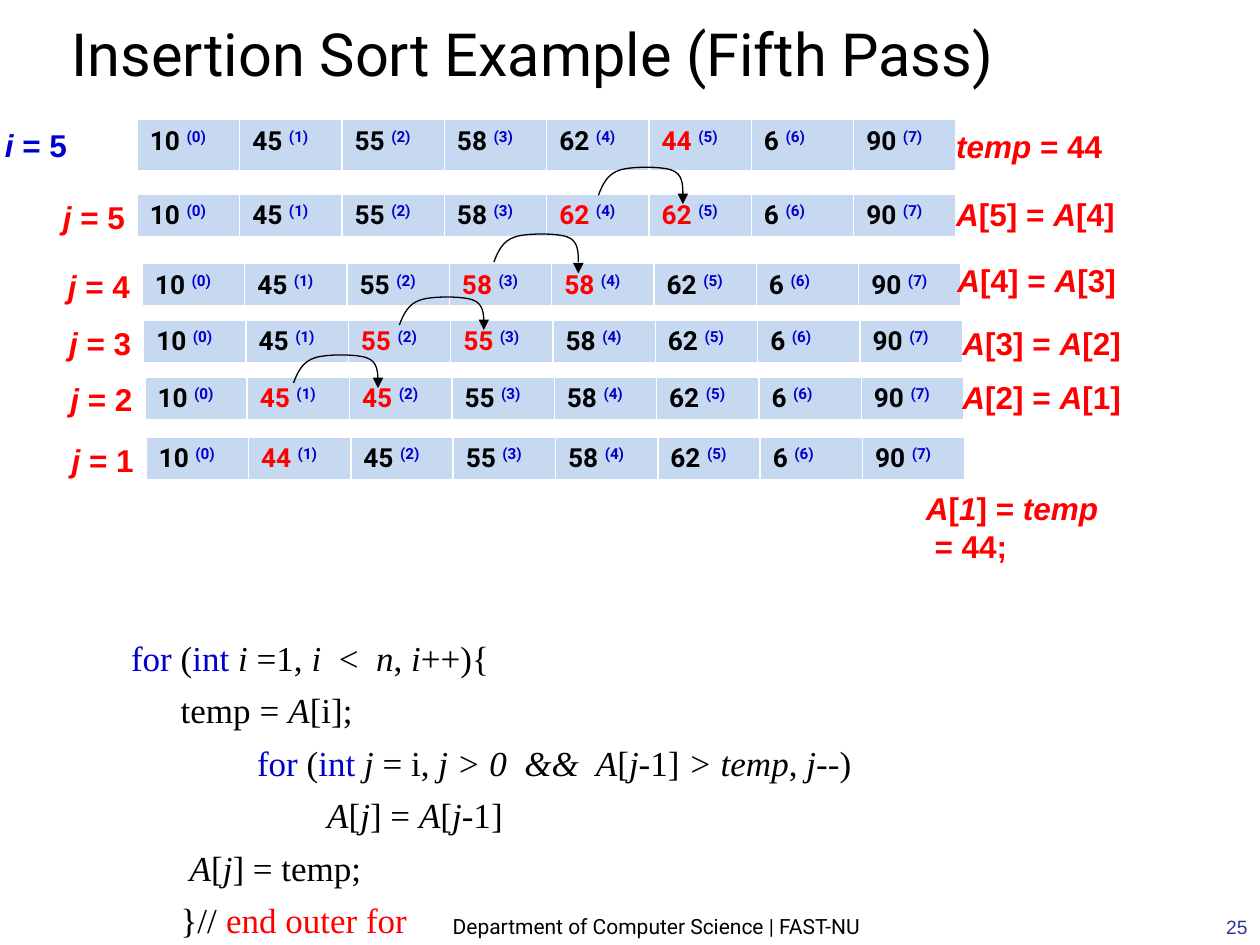
"""Builds the slide on the fifth pass of an insertion sort."""
from lxml import etree
from pptx import Presentation
from pptx.dml.color import RGBColor
from pptx.enum.shapes import MSO_CONNECTOR
from pptx.enum.text import MSO_ANCHOR, MSO_AUTO_SIZE, PP_ALIGN
from pptx.oxml.ns import qn
from pptx.util import Pt

PX = 9144
STRAIGHT = MSO_CONNECTOR.STRAIGHT
TOP, BOTTOM = MSO_ANCHOR.TOP, MSO_ANCHOR.BOTTOM
LEFT, CENTER, RIGHT = PP_ALIGN.LEFT, PP_ALIGN.CENTER, PP_ALIGN.RIGHT
FIT_SHAPE, NO_FIT = MSO_AUTO_SIZE.SHAPE_TO_FIT_TEXT, MSO_AUTO_SIZE.NONE

BLACK, BLUE, RED, WHITE = "000000", "0000CC", "FF0000", "FFFFFF"
CELL_FILL, NUMBER_COLOUR = "C6D9F1", "333399"

TITLE = "Insertion Sort Example (Fifth Pass)"
FOOTER = "Department of Computer Science | FAST-NU"
PAGE_NUMBER = "25"

PASSES = [
    {"at": (109, 95), "height": 42, "values": [10, 45, 55, 58, 62, 44, 6, 90], "red": [5]},
    {"at": (109, 154), "height": 35, "values": [10, 45, 55, 58, 62, 62, 6, 90], "red": [4, 5]},
    {"at": (113, 209), "height": 35, "values": [10, 45, 55, 58, 58, 62, 6, 90], "red": [3, 4]},
    {"at": (114, 254), "height": 35, "values": [10, 45, 55, 55, 58, 62, 6, 90], "red": [2, 3]},
    {"at": (115, 299), "height": 35, "values": [10, 45, 45, 55, 58, 62, 6, 90], "red": [1, 2]},
    {"at": (116, 347), "height": 35, "values": [10, 44, 45, 55, 58, 62, 6, 90], "red": [1]},
]
OUTER_INDEX = ("*i* = 5", (-6, 95, 69, 40))
INNER_INDEXES = ["*j* = 5", "*j* = 4", "*j* = 3", "*j* = 2", "*j* = 1"]
STEPS = [
    (["*temp* = 44"], (749, 96, 136, 40)),
    (["*A*[5] = *A*[4]"], (749, 150, 146, 40)),
    (["*A*[4] = *A*[3]"], (750, 202, 146, 40)),
    (["*A*[3] = *A*[2]"], (754, 252, 146, 40)),
    (["*A*[2] = *A*[1]"], (754, 295, 146, 40)),
    (["*A*[*1*] = *temp*", " = 44;"], (725, 383, 157, 70)),
]
MOVES = [(475, 132, 154), (392, 185, 209), (317, 235, 254), (233, 281, 300)]
ARC = [(0, 23), (3, 15), (7, 6), (17, 3), (26, 0), (50, 0), (58, 3), (67, 6), (67, 15), (67, 23)]
CODE = [
    [(BLUE, "\tfor"), (BLACK, " ("), (BLUE, "int "), (BLACK, "*i *=1, *i  *<  *n*, *i*++){")],
    [(BLACK, "          temp = *A*[i];")],
    [(BLACK, "\t\t"), (BLUE, "for"), (BLACK, " ("), (BLUE, "int "),
     (BLACK, "*j *= i, *j > 0  &&  A*[*j*-1]* > temp*, *j*--)")],
    [(BLACK, "\t\t        *A*[*j*] = *A*[*j*-1]")],
    [(BLACK, "           *A*[*j*] = temp;")],
    [(BLACK, "          }// "), (RED, "end outer for")],
]


def rgb(value):
    """Turn a hex string into a colour."""
    return RGBColor.from_string(value)


def px(*lengths):
    """Turn px lengths into EMU."""
    return [length * PX for length in lengths]


def add_runs(paragraph, parts, size, font, bold=False):
    """Add one run for each stretch, with italics between asterisks."""
    runs = []
    for colour, marked in parts:
        for index, piece in enumerate(marked.split("*")):
            if piece:
                run = paragraph.add_run()
                run.text = piece
                run.font.size, run.font.name = Pt(size), font
                run.font.bold, run.font.italic = bold, index % 2 == 1
                run.font.color.rgb = rgb(colour)
                runs.append(run)
    return runs


def fill_text(box, lines, size, font, bold=False, align=LEFT, anchor=TOP, wrap=True):
    """Write lines of coloured parts into a box."""
    frame = box.text_frame
    frame.word_wrap, frame.vertical_anchor = wrap, anchor
    frame.auto_size = NO_FIT if wrap else FIT_SHAPE
    for index, parts in enumerate(lines):
        paragraph = frame.add_paragraph() if index else frame.paragraphs[0]
        paragraph.alignment = align
        add_runs(paragraph, parts, size, font, bold)
    return frame.paragraphs


def place(placeholder, *bounds):
    """Move a placeholder to px bounds."""
    placeholder.left, placeholder.top, placeholder.width, placeholder.height = px(*bounds)


def add_label(slide, lines, bounds, colour):
    """Add a bold label beside a pass."""
    box = slide.shapes.add_textbox(*px(*bounds))
    fill_text(box, [[(colour, line)] for line in lines], 18, "Arial", bold=True, wrap=False)


def add_border(cell, side, points):
    """Draw a white border on one side of a cell."""
    line = etree.SubElement(cell._tc.get_or_add_tcPr(), qn(f"a:ln{side}"), w=str(Pt(points)))
    etree.SubElement(etree.SubElement(line, qn("a:solidFill")), qn("a:srgbClr"), val=WHITE)


def add_pass(slide, at, height, values, red):
    """Add the array as a one-row table with superscript indexes."""
    table = slide.shapes.add_table(1, len(values), *px(*at, 650, height)).table
    table.first_row = table.horz_banding = False
    for index, value in enumerate(values):
        cell = table.cell(0, index)
        for side, points in (("L", 1), ("R", 1), ("T", 1), ("B", 3)):
            add_border(cell, side, points)
        cell.fill.solid()
        cell.fill.fore_color.rgb = rgb(CELL_FILL)
        parts = [(RED if index in red else BLACK, f"{value} "), (BLUE, f"({index})")]
        runs = add_runs(cell.text_frame.paragraphs[0], parts, 15, "Roboto", bold=True)
        runs[-1]._r.get_or_add_rPr().set("baseline", "30000")


def style_line(shape):
    """Give an arc or arrow a thin black line."""
    shape.line.color.rgb = rgb(BLACK)
    shape.line.width = Pt(0.75)


def add_move(slide, left, top, arrow_top):
    """Add a curved arc that ends in a short arrow."""
    points = [(left + x, top + y) for x, y in ARC]
    builder = slide.shapes.build_freeform(*points[0], scale=PX)
    builder.add_line_segments(points[1:], close=False)
    arc = builder.convert_to_shape()
    arc.shadow.inherit = False
    arc.fill.background()
    style_line(arc)
    outline = next(arc._element.iter(qn("a:path")))
    segments = outline.findall(qn("a:lnTo"))
    for start in range(0, len(segments), 3):
        curve = etree.SubElement(outline, qn("a:cubicBezTo"))
        for segment in segments[start:start + 3]:
            curve.append(segment[0])
            outline.remove(segment)

    end = left + ARC[-1][0]
    arrow = slide.shapes.add_connector(STRAIGHT, *px(end, arrow_top, end, arrow_top + 8))
    style_line(arrow)
    etree.SubElement(arrow.line._get_or_add_ln(), qn("a:tailEnd"), type="triangle")
    etree.SubElement(arrow._element.spPr, qn("a:effectLst"))


def main():
    """Build and save the slide."""
    presentation = Presentation()
    presentation.slide_width, presentation.slide_height = px(1000, 750)
    slide = presentation.slides.add_slide(presentation.slide_layouts[1])
    title, code = slide.placeholders

    place(title, 47, 2, 828, 73)
    fill_text(title, [[(BLACK, TITLE)]], 34, "Roboto", anchor=BOTTOM)

    place(code, 64, 500, 792, 233)
    for index, line in enumerate(fill_text(code, CODE, 20, "Times New Roman")):
        properties = line._p.get_or_add_pPr()
        for name, length in (("marL", 30), ("indent", -30), ("defTabSz", 100)):
            properties.set(name, str(length * PX))
        etree.SubElement(properties, qn("a:buNone"))
        line.space_before = Pt(6 if index else 0)

    for array in PASSES:
        add_pass(slide, **array)
    add_label(slide, [OUTER_INDEX[0]], OUTER_INDEX[1], BLUE)
    for text, array in zip(INNER_INDEXES, PASSES[1:]):
        left, top = array["at"]
        add_label(slide, [text], (left - 69, top - 2, 69, 40), RED)
    for lines, bounds in STEPS:
        add_label(slide, lines, bounds, RED)
    for move in MOVES:
        add_move(slide, *move)

    footer = slide.shapes.add_textbox(*px(275, 708, 492, 42))
    fill_text(footer, [[(BLACK, FOOTER)]], 12, "Roboto", align=CENTER, anchor=BOTTOM)
    number = slide.shapes.add_textbox(*px(792, 700, 208, 50))
    fill_text(number, [[(NUMBER_COLOUR, PAGE_NUMBER)]], 11, "Arial", align=RIGHT, anchor=BOTTOM)
    presentation.save("out.pptx")


if __name__ == "__main__":
    main()
